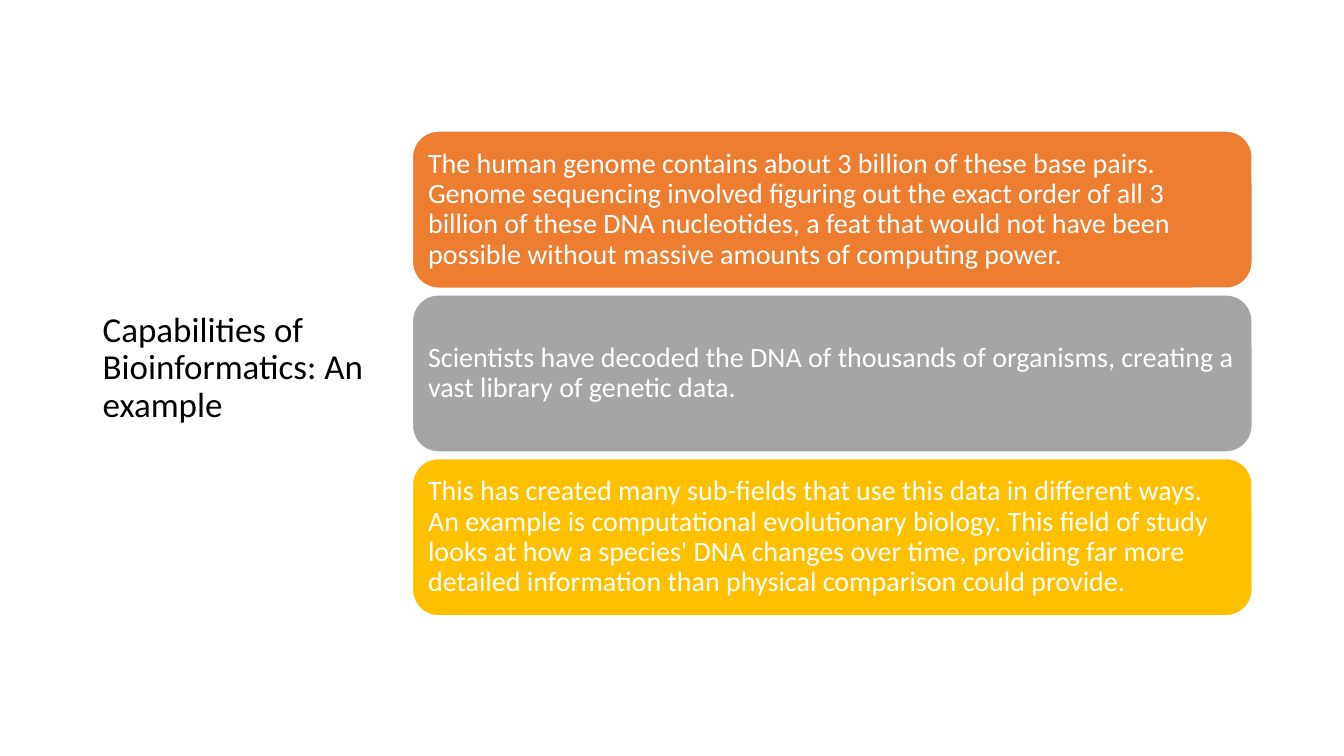
from pptx import Presentation
from pptx.dml.color import RGBColor
from pptx.enum.shapes import MSO_SHAPE as Shape
from pptx.enum.text import MSO_ANCHOR as Anchor, PP_ALIGN as Align
from pptx.util import Inches, Pt

TITLE = "Capabilities of Bioinformatics: An example"
CARDS = [
    ("orange", "The human genome contains about 3 billion of these base pairs. "
     "Genome sequencing involved figuring out the exact order of all 3 billion "
     "of these DNA nucleotides, a feat that would not have been possible "
     "without massive amounts of computing power."),
    ("gray", "Scientists have decoded the DNA of thousands of organisms, "
     "creating a vast library of genetic data."),
    ("gold", "This has created many sub-fields that use this data in different "
     "ways. An example is computational evolutionary biology. This field of "
     "study looks at how a species' DNA changes over time, providing far more "
     "detailed information than physical comparison could provide."),
]
COLORS = {"orange": "ED7D31", "gray": "A5A5A5", "gold": "FFC000",
          "white": "FFFFFF", "black": "000000"}
FONT = "Calibri"
WIDTH, HEIGHT = 13.33, 7.5
TITLE_BOX = (0.92, 0.61, 3.69, 6.09)
LEFT, TOP, CARD_W, CARD_H = 4.09, 1.3, 8.33, 1.56
PITCH = 1.625
INSET = 0.08


def color(name):
    return RGBColor.from_string(COLORS[name])


def write(shape, text, size, ink):
    frame = shape.text_frame
    frame.word_wrap = True
    frame.vertical_anchor = Anchor.MIDDLE
    para = frame.paragraphs[0]
    para.text = text
    para.alignment = Align.LEFT
    para.line_spacing = 0.9
    para.font.name = FONT
    para.font.size = Pt(size)
    para.font.color.rgb = color(ink)
    return frame


def add_card(slide, row, fill, text):
    box = (LEFT, TOP + row * PITCH, CARD_W, CARD_H)
    card = slide.shapes.add_shape(Shape.ROUNDED_RECTANGLE, *map(Inches, box))
    card.shadow.inherit = False
    card.fill.solid()
    card.fill.fore_color.rgb = color(fill)
    card.line.color.rgb = color("white")
    card.line.width = Pt(1)
    frame = write(card, text, 20, "white")
    frame.margin_left = frame.margin_right = Inches(INSET)
    frame.margin_top = frame.margin_bottom = Inches(INSET)


def main():
    deck = Presentation()
    deck.slide_width, deck.slide_height = Inches(WIDTH), Inches(HEIGHT)
    slide = deck.slides.add_slide(deck.slide_layouts[6])
    title = slide.shapes.add_textbox(*map(Inches, TITLE_BOX))
    write(title, TITLE, 25, "black")
    for row, (fill, text) in enumerate(CARDS):
        add_card(slide, row, fill, text)
    deck.save("out.pptx")


if __name__ == "__main__":
    main()
